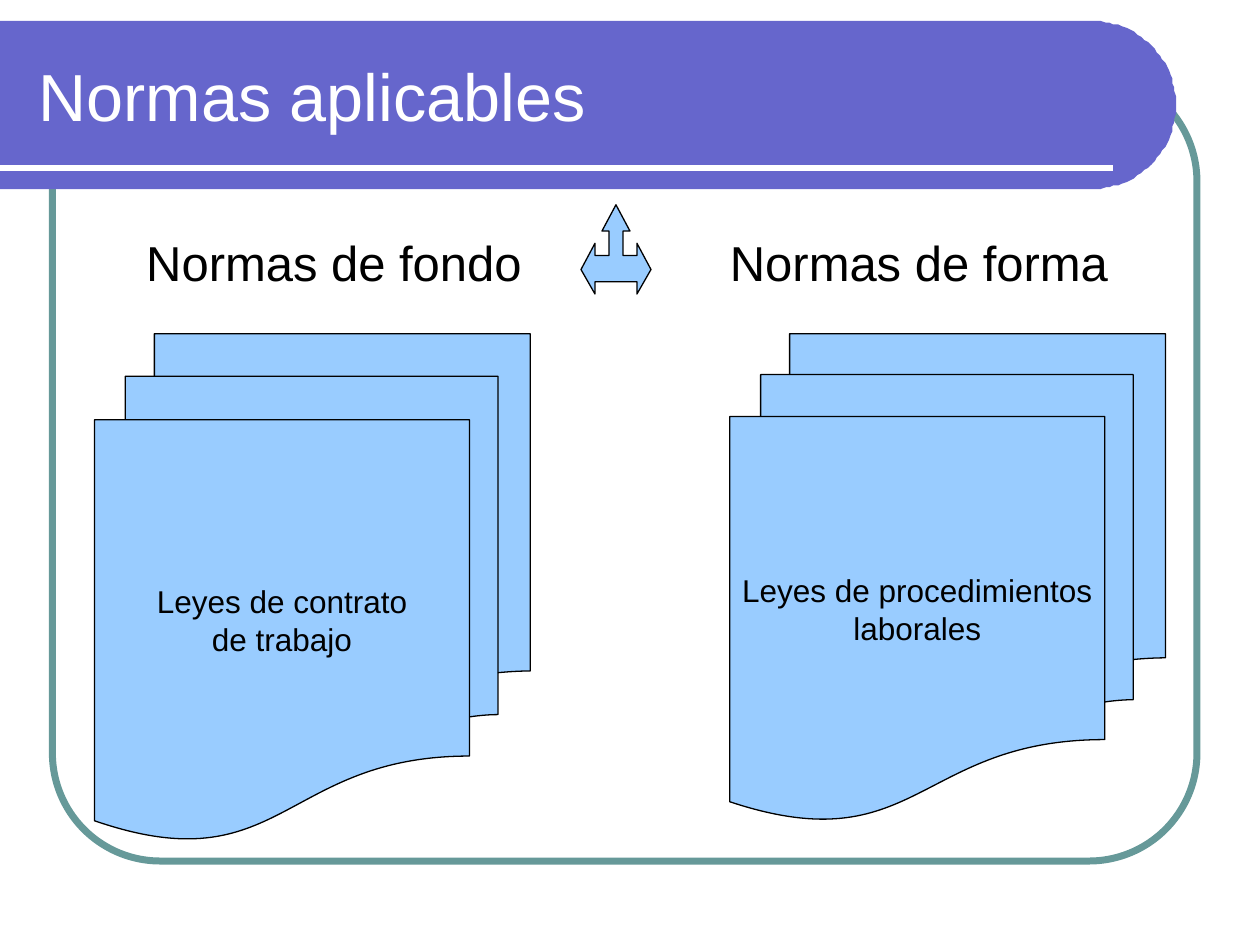
from dataclasses import dataclass
from math import cos, pi, sin

from lxml.etree import SubElement
from pptx import Presentation
from pptx.dml.color import RGBColor
from pptx.enum.shapes import MSO_CONNECTOR, MSO_SHAPE
from pptx.enum.text import MSO_ANCHOR, PP_ALIGN
from pptx.oxml.ns import qn
from pptx.util import Pt


@dataclass(frozen=True)
class Theme:
    font: str = "Arial"
    banner: str = "6666CC"
    frame: str = "669999"
    paper: str = "99CCFF"
    light: str = "FFFFFF"
    dark: str = "000000"
    title_size: float = 38
    heading_size: float = 28
    label_size: float = 18


class SlideBuilder:
    def __init__(self, slide, theme):
        self.slide = slide
        self.theme = theme

    def paint(self, shape, fill=None, line=None, width=0.75):
        shape.shadow.inherit = False
        if fill:
            shape.fill.solid()
            shape.fill.fore_color.rgb = RGBColor.from_string(fill)
        else:
            shape.fill.background()
        if line:
            shape.line.color.rgb = RGBColor.from_string(line)
            shape.line.width = Pt(width)
        else:
            shape.line.fill.background()

    def preset(self, kind, box, **style):
        shape = self.slide.shapes.add_shape(kind, *map(Pt, box))
        self.paint(shape, **style)
        return shape

    def outline(self, points, **style):
        builder = self.slide.shapes.build_freeform(*points[0], scale=Pt(1))
        builder.add_line_segments(points[1:], close=True)
        self.paint(builder.convert_to_shape(), **style)

    def rule(self, start, end, color, width):
        line = self.slide.shapes.add_connector(
            MSO_CONNECTOR.STRAIGHT, *map(Pt, start + end))
        line.line.color.rgb = RGBColor.from_string(color)
        line.line.width = Pt(width)
        SubElement(line._element.spPr, qn("a:effectLst"))

    def set_text(self, shape, text, size, color, align=PP_ALIGN.LEFT,
                 anchor=MSO_ANCHOR.MIDDLE, wrap=True):
        frame = shape.text_frame
        frame.text = text
        frame.word_wrap = wrap
        frame.vertical_anchor = anchor
        for paragraph in frame.paragraphs:
            paragraph.alignment = align
            for run in paragraph.runs:
                run.font.name = self.theme.font
                run.font.size = Pt(size)
                run.font.color.rgb = RGBColor.from_string(color)

    def title(self, text, box):
        shape = self.slide.shapes.add_textbox(*map(Pt, box))
        self.set_text(shape, text, self.theme.title_size, self.theme.light)

    def heading(self, text, box, indent):
        shape = self.slide.shapes.add_textbox(*map(Pt, box))
        self.set_text(shape, text, self.theme.heading_size, self.theme.dark,
                      anchor=MSO_ANCHOR.TOP)
        shape.text_frame.margin_top = Pt(6.6)
        properties = shape.text_frame.paragraphs[0]._p.get_or_add_pPr()
        properties.set("marL", str(Pt(indent)))

    def documents(self, text, box):
        shape = self.preset(MSO_SHAPE.FLOWCHART_MULTIDOCUMENT, box,
                            fill=self.theme.paper, line=self.theme.dark)
        self.set_text(shape, text, self.theme.label_size, self.theme.dark,
                      align=PP_ALIGN.CENTER, wrap=False)


def main():
    presentation = Presentation()
    presentation.slide_width, presentation.slide_height = Pt(720), Pt(540)
    slide = presentation.slides.add_slide(presentation.slide_layouts[6])
    theme = Theme()
    builder = SlideBuilder(slide, theme)

    # Rounded frame
    frame = builder.preset(MSO_SHAPE.ROUNDED_RECTANGLE, (30, 42, 654, 450),
                           line=theme.frame, width=4)
    frame.adjustments[0] = 0.137

    # Banner with a semicircular right end
    center_x, center_y, radius, steps = 624, 60, 48, 60
    angles = [pi * step / steps - pi / 2 for step in range(steps + 1)]
    arc = [(center_x + radius * cos(angle), center_y + radius * sin(angle))
           for angle in angles]
    builder.outline([(0, center_y - radius), *arc, (0, center_y + radius)],
                    fill=theme.banner)
    builder.rule((0, 96), (636, 96), theme.light, 3)
    builder.title("Normas aplicables", (15, 18, 631.5, 72))

    # Column headings
    builder.heading("Normas de fondo", (48, 126, 306, 348), 28.5)
    builder.heading("Normas de forma", (366, 126, 306, 348), 44)

    # Three-way arrow, mirrored about its vertical axis
    axis, top = 351.5, 116.7
    half = [(0, 0), (8, 15), (4, 15), (4, 29.5), (12, 29.5), (12, 22.2),
            (20, 37), (12, 51.8), (12, 44.6)]
    right = [(axis + x, top + y) for x, y in half]
    left = [(axis - x, top + y) for x, y in reversed(half[1:])]
    builder.outline(right + left, fill=theme.paper, line=theme.dark)

    # Document stacks
    builder.documents("Leyes de contrato\nde trabajo", (54, 190.7, 249, 289.3))
    builder.documents("Leyes de procedimientos\nlaborales",
                      (417, 190.7, 249, 278))

    presentation.save("out.pptx")


if __name__ == "__main__":
    main()
